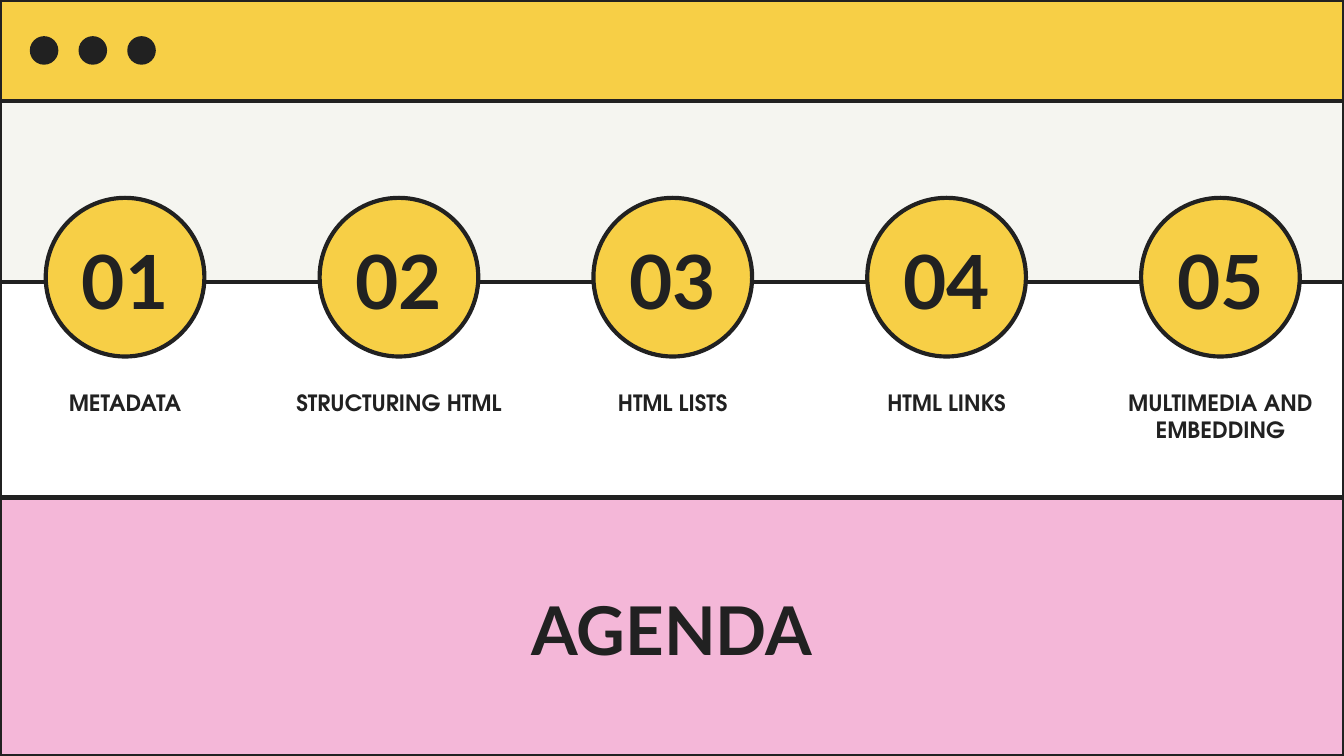
from pptx import Presentation
from pptx.dml.color import RGBColor
from pptx.enum.shapes import MSO_SHAPE as Shape
from pptx.enum.text import MSO_ANCHOR as Anchor, PP_ALIGN as Align
from pptx.util import Pt

INK = RGBColor(0x21, 0x21, 0x21)
YELLOW = RGBColor(0xF7, 0xCF, 0x46)
CREAM = RGBColor(0xF5, 0xF5, 0xF0)
PINK = RGBColor(0xF4, 0xB7, 0xD8)

WIDTH, HEIGHT = 720, 405
CIRCLE = 85
LABEL_WIDTH = 171.4
FIRST_CENTER, STEP = 67, 146.7
TOPICS = [
    "METADATA",
    "STRUCTURING HTML",
    "HTML LISTS",
    "HTML LINKS",
    "MULTIMEDIA AND EMBEDDING",
]


def add_shape(slide, kind, left, top, width, height, fill=None, outlined=True):
    sp = slide.shapes.add_shape(kind, Pt(left), Pt(top), Pt(width), Pt(height))
    sp.shadow.inherit = False
    if fill is None:
        sp.fill.background()
    else:
        sp.fill.solid()
        sp.fill.fore_color.rgb = fill
    if outlined:
        sp.line.color.rgb = INK
        sp.line.width = Pt(2.25)
    else:
        sp.line.fill.background()


def add_text(slide, text, left, top, width, height, size, font="Lato",
             anchor=Anchor.TOP, space_after=0):
    box = slide.shapes.add_textbox(Pt(left), Pt(top), Pt(width), Pt(height))
    tf = box.text_frame
    tf.word_wrap = True
    tf.vertical_anchor = anchor
    tf.margin_left = tf.margin_right = tf.margin_top = tf.margin_bottom = Pt(7.2)
    tf.text = text
    p = tf.paragraphs[0]
    p.alignment = Align.CENTER
    p.space_after = Pt(space_after)
    r = p.runs[0]
    r.font.name = font
    r.font.size = Pt(size)
    r.font.bold = True
    r.font.color.rgb = INK


def add_window(slide):
    add_shape(slide, Shape.RECTANGLE, 0, 0, WIDTH, HEIGHT)
    for top, height, fill in [(0, 54, YELLOW), (54, 97, CREAM), (266.5, 138.5, PINK)]:
        add_shape(slide, Shape.RECTANGLE, 0, top, WIDTH, height, fill)
    for i in range(3):
        add_shape(slide, Shape.OVAL, 16 + 26.1 * i, 19.4, 15.3, 15.3, INK, outlined=False)


def add_topic(slide, index, topic):
    center = FIRST_CENTER + STEP * index
    left = center - CIRCLE / 2
    add_shape(slide, Shape.OVAL, left, 106, CIRCLE, CIRCLE, YELLOW)
    add_text(slide, f"{index + 1:02}", left, 115.5, CIRCLE, 65.5, 40, anchor=Anchor.BOTTOM)
    add_text(slide, topic, center - LABEL_WIDTH / 2, 201.2, LABEL_WIDTH, 39.6, 12,
             font="TeX Gyre Adventor", space_after=16)


def main():
    prs = Presentation()
    prs.slide_width, prs.slide_height = Pt(WIDTH), Pt(HEIGHT)
    slide = prs.slides.add_slide(prs.slide_layouts[6])
    add_window(slide)
    add_text(slide, "AGENDA", 146.5, 308.2, 427, 65.5, 36)
    for index, topic in enumerate(TOPICS):
        add_topic(slide, index, topic)
    prs.save("out.pptx")


if __name__ == "__main__":
    main()
